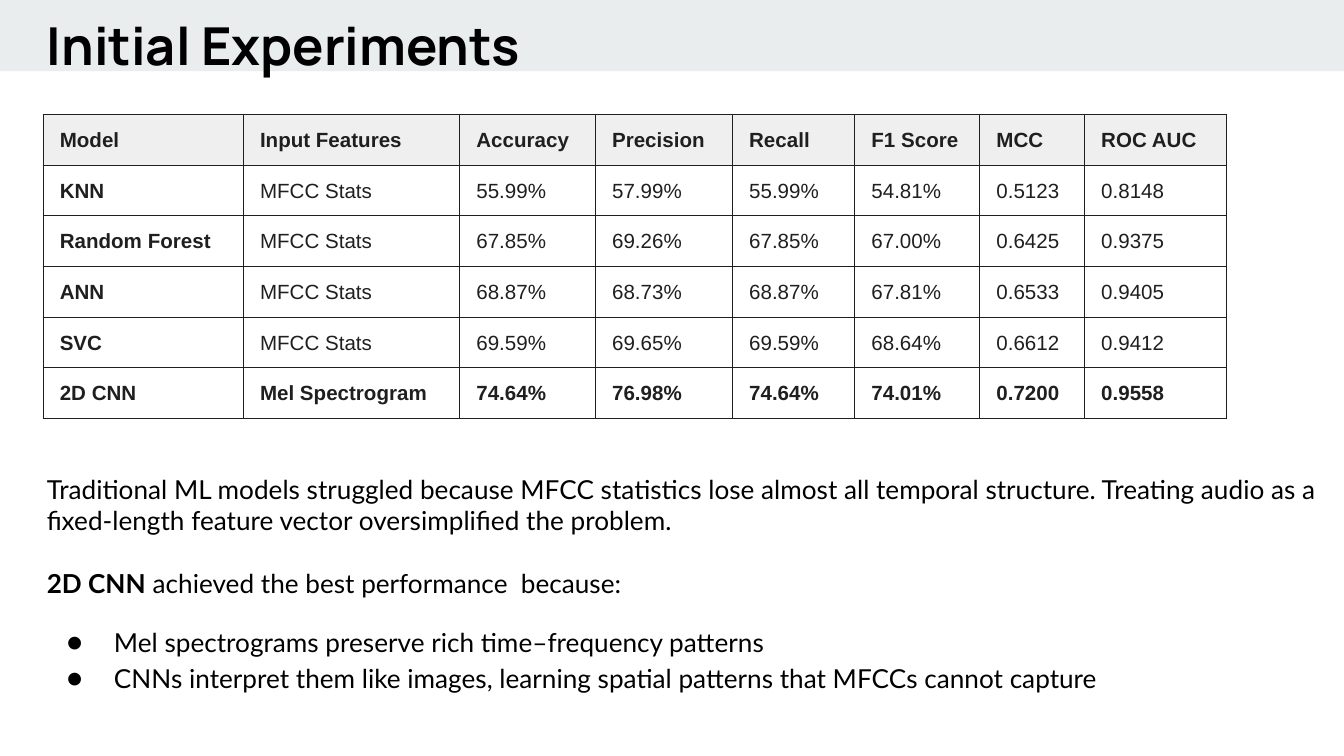
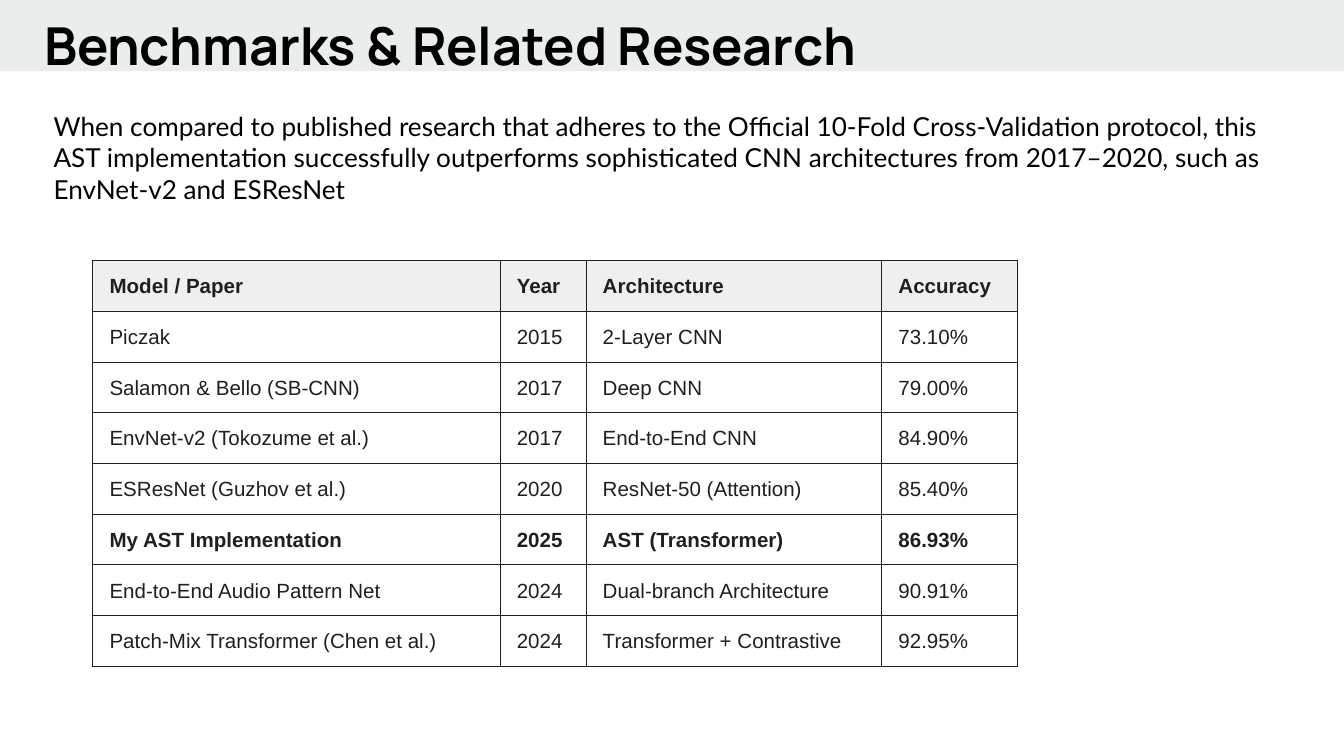
"""Builds two slides on audio classification experiments and benchmarks."""
from lxml.etree import SubElement
from pptx import Presentation
from pptx.dml.color import RGBColor
from pptx.enum.shapes import MSO_SHAPE as Shape
from pptx.oxml.ns import qn
from pptx.util import Inches, Pt

BLACK, INK, BAND, HEADER = "000000", "1F1F1F", "E9EDEE", "EFEFEF"
ROW_HEIGHT = Inches(3 / 8)


def color(value):
    return RGBColor.from_string(value)


def add_text(slide, box, paragraphs, font, size, bold=False):
    frame = slide.shapes.add_textbox(*map(Inches, box)).text_frame
    frame.word_wrap = True
    frame.margin_left = frame.margin_right = Inches(0.1)
    frame.margin_top = frame.margin_bottom = Inches(0.1)
    for index, (runs, space_before, bulleted) in enumerate(paragraphs):
        paragraph = frame.add_paragraph() if index else frame.paragraphs[0]
        if bulleted:
            properties = paragraph._p.get_or_add_pPr()
            properties.set("marL", str(Inches(0.5)))
            properties.set("indent", str(Inches(-0.35)))
            SubElement(SubElement(properties, qn("a:buClr")), qn("a:srgbClr"), val=BLACK)
            SubElement(properties, qn("a:buSzPts"), val=str(size * 100))
            SubElement(properties, qn("a:buFont"), typeface=font)
            SubElement(properties, qn("a:buChar"), char="●")
            paragraph.line_spacing = 1.15
        if space_before:
            paragraph.space_before = Pt(space_before)
        paragraph.font.name = font
        paragraph.font.size = Pt(size)
        paragraph.font.bold = bold
        paragraph.font.color.rgb = color(BLACK)
        for text, emphasized in runs:
            run = paragraph.add_run()
            run.text = text
            if emphasized:
                run.font.bold = True


experiments = {
    "title": "Initial Experiments",
    "title_left": 0.25,
    "body_box": (0.25, 3.42, 9.86, 1.78),
    "body": [
        ([("Traditional ML models struggled because MFCC statistics lose almost all temporal structure. "
           "Treating audio as a fixed-length feature vector oversimplified the problem.", False)], 0, False),
        ([("2D CNN", True), (" achieved the best performance  because:", False)], 17, False),
        ([("Mel spectrograms preserve rich time–frequency patterns", False)], 12, True),
        ([("CNNs interpret them like images, learning spatial patterns that MFCCs cannot capture", False)], 0, True),
    ],
    "table_at": (0.32, 0.85),
    "columns": [1.49, 1.61, 1.01, 1.02, 0.91, 0.93, 0.78, 1.06],
    "bold_models": True,
    "highlight": "2D CNN",
    "rows": [
        ("Model", "Input Features", "Accuracy", "Precision", "Recall", "F1 Score", "MCC", "ROC AUC"),
        ("KNN", "MFCC Stats", "55.99%", "57.99%", "55.99%", "54.81%", "0.5123", "0.8148"),
        ("Random Forest", "MFCC Stats", "67.85%", "69.26%", "67.85%", "67.00%", "0.6425", "0.9375"),
        ("ANN", "MFCC Stats", "68.87%", "68.73%", "68.87%", "67.81%", "0.6533", "0.9405"),
        ("SVC", "MFCC Stats", "69.59%", "69.65%", "69.59%", "68.64%", "0.6612", "0.9412"),
        ("2D CNN", "Mel Spectrogram", "74.64%", "76.98%", "74.64%", "74.01%", "0.7200", "0.9558"),
    ],
}

benchmarks = {
    "title": "Benchmarks & Related Research",
    "title_left": 0.23,
    "body_box": (0.3, 0.72, 9.21, 1.22),
    "body": [
        ([("When compared to published research that adheres to the Official 10-Fold Cross-Validation protocol, "
           "this AST implementation successfully outperforms sophisticated CNN architectures from 2017–2020, "
           "such as EnvNet-v2 and ESResNet", False)], 0, False),
    ],
    "table_at": (0.69, 1.94),
    "columns": [3.03, 0.64, 2.2, 1.01],
    "bold_models": False,
    "highlight": "My AST Implementation",
    "rows": [
        ("Model / Paper", "Year", "Architecture", "Accuracy"),
        ("Piczak", "2015", "2-Layer CNN", "73.10%"),
        ("Salamon & Bello (SB-CNN)", "2017", "Deep CNN", "79.00%"),
        ("EnvNet-v2 (Tokozume et al.)", "2017", "End-to-End CNN", "84.90%"),
        ("ESResNet (Guzhov et al.)", "2020", "ResNet-50 (Attention)", "85.40%"),
        ("My AST Implementation", "2025", "AST (Transformer)", "86.93%"),
        ("End-to-End Audio Pattern Net", "2024", "Dual-branch Architecture", "90.91%"),
        ("Patch-Mix Transformer (Chen et al.)", "2024", "Transformer + Contrastive", "92.95%"),
    ],
}

prs = Presentation()
prs.slide_width = Inches(10)
prs.slide_height = Inches(10 * 9 / 16)

for content in (experiments, benchmarks):
    slide = prs.slides.add_slide(prs.slide_layouts[6])
    band = slide.shapes.add_shape(Shape.RECTANGLE, 0, 0, prs.slide_width, Inches(0.53))
    band.shadow.inherit = False
    band.fill.solid()
    band.fill.fore_color.rgb = color(BAND)
    band.line.fill.background()

    heading = [([(content["title"], False)], 0, False)]
    add_text(slide, (content["title_left"], 0, 8.41, 0.59), heading, "Manrope", 28, bold=True)
    add_text(slide, content["body_box"], content["body"], "Lato", 14)

    rows, columns = content["rows"], content["columns"]
    left, top = map(Inches, content["table_at"])
    results = slide.shapes.add_table(
        len(rows), len(columns), left, top, Inches(sum(columns)), ROW_HEIGHT * len(rows)).table
    results.horz_banding = False
    for column, width in zip(results.columns, columns):
        column.width = Inches(width)
    for row_index, values in enumerate(rows):
        results.rows[row_index].height = ROW_HEIGHT
        for column_index, value in enumerate(values):
            cell = results.cell(row_index, column_index)
            cell.text = value
            cell.margin_left = cell.margin_right = Inches(1 / 8)
            cell.margin_top = cell.margin_bottom = Inches(1 / 12)
            paragraph = cell.text_frame.paragraphs[0]
            paragraph.line_spacing = 1.15
            paragraph.font.name = "Arial"
            paragraph.font.size = Pt(11)
            paragraph.font.color.rgb = color(INK)
            is_model = content["bold_models"] and column_index == 0
            paragraph.font.bold = row_index == 0 or is_model or values[0] == content["highlight"]
            cell_properties = cell._tc.get_or_add_tcPr()
            for side in ("lnL", "lnR", "lnT", "lnB"):
                border = SubElement(cell_properties, qn(f"a:{side}"), w=str(Pt(0.5)))
                SubElement(SubElement(border, qn("a:solidFill")), qn("a:srgbClr"), val=INK)
            if row_index == 0:
                cell.fill.solid()
                cell.fill.fore_color.rgb = color(HEADER)
            else:
                cell.fill.background()

prs.save("out.pptx")
